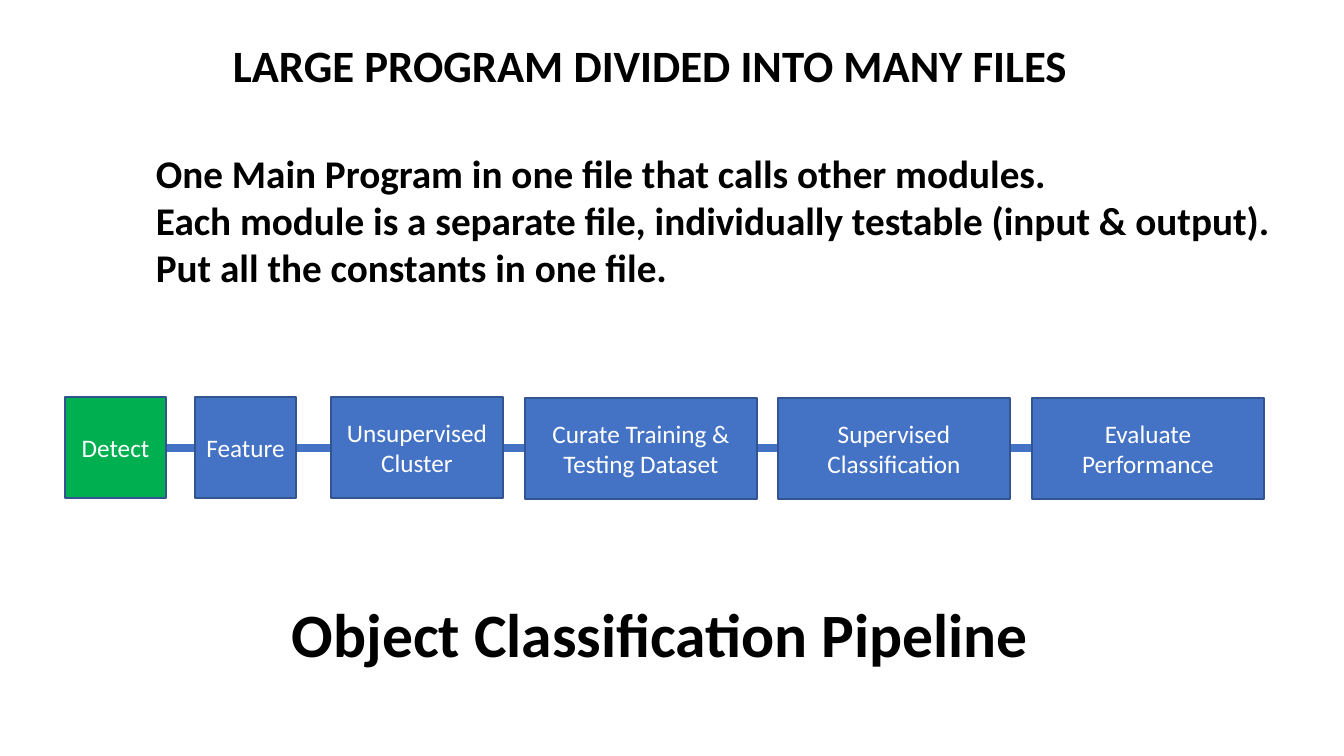
from dataclasses import dataclass

from lxml import etree
from pptx import Presentation
from pptx import util as u
from pptx.dml.color import RGBColor
from pptx.enum import shapes, text
from pptx.oxml.ns import qn

# Content: stage lines, left, top, width in px
STAGES = [
    (["Detect"], 65, 397, 101),
    (["Feature"], 195, 397, 101),
    (["Unsupervised", "Cluster"], 331, 397, 172),
    (["Curate Training & Testing Dataset"], 525, 398, 232),
    (["Supervised", "Classification"], 778, 398, 232),
    (["Evaluate", "Performance"], 1032, 398, 232),
]
STAGE_HEIGHT = 101
PIPE_START, PIPE_END, PIPE_Y = 159, 1090, 448

CAPTION = ["Object Classification Pipeline"]
TITLE = ["LARGE PROGRAM DIVIDED INTO MANY FILES"]
ADVICE = [
    "One Main Program in one file that calls other modules.",
    "Each module is a separate file, individually testable (input & output).",
    "Put all the constants in one file.",
]


@dataclass(frozen=True)
class Theme:
    font: str = "Calibri"
    black: str = "000000"
    white: str = "FFFFFF"
    blue: str = "4472C4"
    green: str = "00B050"
    outline: str = "325491"
    caption_size: int = 44
    title_size: int = 32
    advice_size: int = 28
    stage_size: int = 18
    pipe_width: int = 6
    outline_width: int = 1


THEME = Theme()
EMU_PER_PX = 914400 / 100.8


def px(*lengths):
    return [u.Emu(round(length * EMU_PER_PX)) for length in lengths]


def write_lines(frame, lines, size, color, align, bold=False):
    for index, line in enumerate(lines):
        paragraph = frame.add_paragraph() if index else frame.paragraphs[0]
        paragraph.text = line
        paragraph.alignment = align
        paragraph.font.name = THEME.font
        paragraph.font.size = u.Pt(size)
        paragraph.font.bold = bold
        paragraph.font.color.rgb = RGBColor.from_string(color)


def add_pipe(parent):
    pipe = parent.shapes.add_connector(
        shapes.MSO_CONNECTOR.STRAIGHT, *px(PIPE_START, PIPE_Y, PIPE_END, PIPE_Y))
    pipe.line.color.rgb = RGBColor.from_string(THEME.blue)
    pipe.line.width = u.Pt(THEME.pipe_width)
    etree.SubElement(pipe._element.spPr, qn("a:effectLst"))


def add_stage(parent, lines, left, top, width, fill):
    shape = parent.shapes.add_shape(
        shapes.MSO_SHAPE.RECTANGLE, *px(left, top, width, STAGE_HEIGHT))
    shape.shadow.inherit = False
    shape.fill.solid()
    shape.fill.fore_color.rgb = RGBColor.from_string(fill)
    shape.line.color.rgb = RGBColor.from_string(THEME.outline)
    shape.line.width = u.Pt(THEME.outline_width)
    frame = shape.text_frame
    frame.word_wrap = True
    frame.vertical_anchor = text.MSO_ANCHOR.MIDDLE
    write_lines(frame, lines, THEME.stage_size, THEME.white, text.PP_ALIGN.CENTER)


def add_heading(slide, lines, box, size):
    frame = slide.shapes.add_textbox(*px(*box)).text_frame
    frame.word_wrap = False
    frame.auto_size = text.MSO_AUTO_SIZE.SHAPE_TO_FIT_TEXT
    write_lines(frame, lines, size, THEME.black, text.PP_ALIGN.LEFT, bold=True)


def main():
    presentation = Presentation()
    presentation.slide_width, presentation.slide_height = px(1344, 756)
    slide = presentation.slides.add_slide(presentation.slide_layouts[6])

    # Pipeline: one line behind the stages, the first stage highlighted
    pipeline = slide.shapes.add_group_shape()
    add_pipe(pipeline)
    for index, stage in enumerate(STAGES):
        add_stage(pipeline, *stage, THEME.blue if index else THEME.green)

    # Caption, title and advice
    add_heading(slide, CAPTION, (282, 591, 764, 85), THEME.caption_size)
    add_heading(slide, TITLE, (223, 33, 862, 65), THEME.title_size)
    add_heading(slide, ADVICE, (146, 144, 1147, 152), THEME.advice_size)

    presentation.save("out.pptx")


if __name__ == "__main__":
    main()
